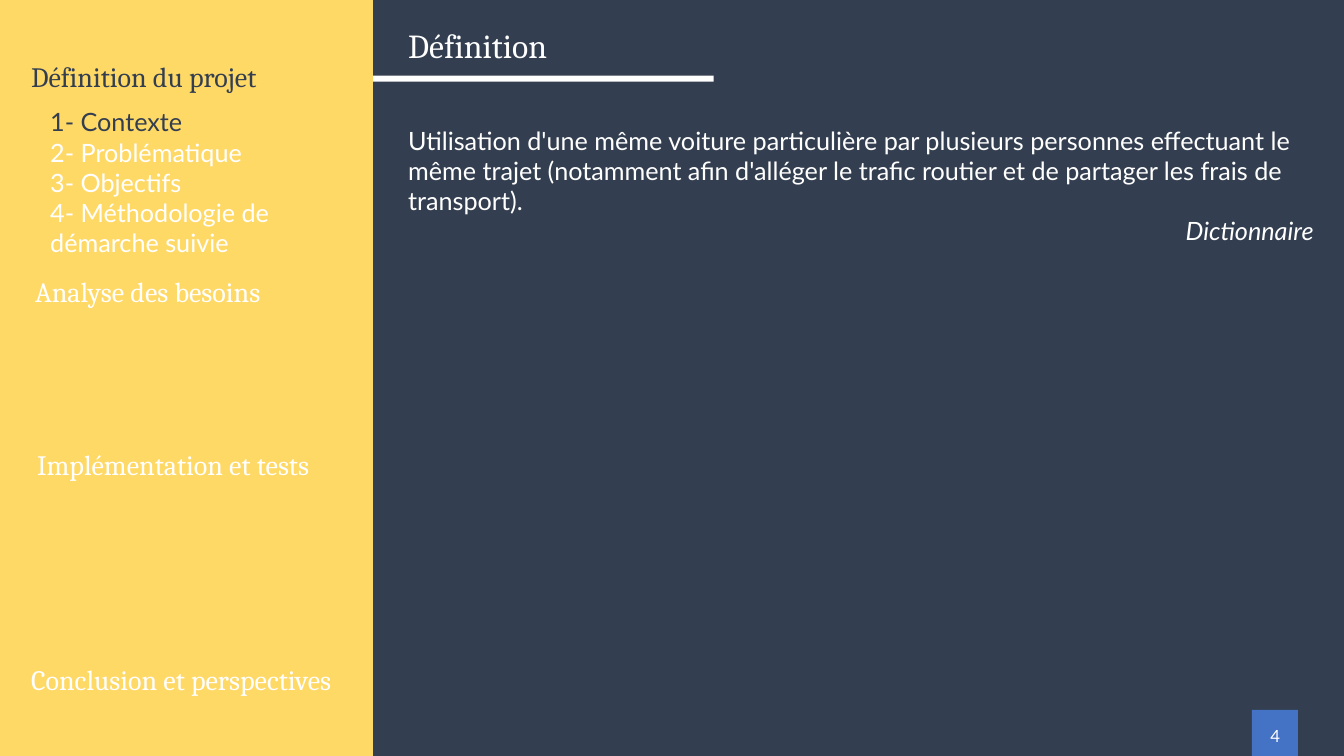
from dataclasses import dataclass

from pptx import Presentation
from pptx.dml.color import RGBColor
from pptx.enum.shapes import MSO_SHAPE
from pptx.enum.text import MSO_ANCHOR, MSO_AUTO_SIZE, PP_ALIGN
from pptx.util import Pt


@dataclass(frozen=True)
class Theme:
    navy: RGBColor = RGBColor(0x33, 0x3F, 0x50)
    yellow: RGBColor = RGBColor(0xFF, 0xD9, 0x66)
    blue: RGBColor = RGBColor(0x44, 0x72, 0xC4)
    white: RGBColor = RGBColor(0xFF, 0xFF, 0xFF)
    heading_font: str = "Cambria"
    body_font: str = "Lato"
    title_size: int = 24
    section_size: int = 20
    body_size: int = 18
    number_size: int = 12


theme = Theme()


def add_block(left, top, width, height, color):
    block = slide.shapes.add_shape(
        MSO_SHAPE.RECTANGLE, Pt(left), Pt(top), Pt(width), Pt(height))
    block.shadow.inherit = False
    block.fill.solid()
    block.fill.fore_color.rgb = color
    block.line.fill.background()


def write_text(shape, box, lines, font_name, size, color):
    """Place a text shape and write one paragraph per line."""
    shape.left, shape.top, shape.width, shape.height = map(Pt, box)
    frame = shape.text_frame
    frame.text = "\n".join(lines)
    frame.word_wrap = True
    frame.auto_size = MSO_AUTO_SIZE.SHAPE_TO_FIT_TEXT
    frame.vertical_anchor = MSO_ANCHOR.TOP
    for paragraph in frame.paragraphs:
        paragraph.alignment = PP_ALIGN.LEFT
        font = paragraph.runs[0].font
        font.name = font_name
        font.size = Pt(size)
        font.color.rgb = color
    return frame.paragraphs


presentation = Presentation()
presentation.slide_width = Pt(960)
presentation.slide_height = Pt(540)
slide = presentation.slides.add_slide(presentation.slide_layouts[5])
slide.background.fill.solid()
slide.background.fill.fore_color.rgb = theme.navy

# Title and its underline
write_text(slide.shapes.title, (284.4, 14.4, 266.4, 36), ["Définition"],
           theme.heading_font, theme.title_size, theme.white)
add_block(266.4, 54, 243.4, 4.3, theme.white)

# Side panel with the outline; the current entries are navy
add_block(0, 0, 266.4, 540, theme.yellow)
sections = [
    ("Définition du projet", 15.1, 38.9, 213, theme.navy),
    ("Analyse des besoins", 18, 192.2, 213, theme.white),
    ("Implémentation et tests", 19.4, 316.1, 213, theme.white),
    ("Conclusion et perspectives", 15.1, 469.4, 248.4, theme.white),
]
for name, left, top, width, color in sections:
    write_text(slide.shapes.add_textbox(0, 0, 0, 0), (left, top, width, 31.5),
               [name], theme.heading_font, theme.section_size, color)

topics = ["Contexte", "Problématique", "Objectifs",
          "Méthodologie de démarche suivie"]
topic_paragraphs = write_text(
    slide.shapes.add_textbox(0, 0, 0, 0), (28.8, 72.7, 213, 116.6),
    [f"{number}- {topic}" for number, topic in enumerate(topics, 1)],
    theme.body_font, theme.body_size, theme.white)
topic_paragraphs[0].runs[0].font.color.rgb = theme.navy

# Definition and its source
definition = (
    "Utilisation d'une même voiture particulière par plusieurs personnes "
    "effectuant le même trajet (notamment afin d'alléger le trafic routier "
    "et de partager les frais de transport).")
quote, source = write_text(
    slide.shapes.add_textbox(0, 0, 0, 0), (284.4, 85.7, 661, 94),
    [definition, "Dictionnaire"], theme.body_font, theme.body_size, theme.white)
source.alignment = PP_ALIGN.RIGHT
source.runs[0].font.italic = True

# Page number
add_block(894.2, 507, 33, 33, theme.blue)
number_box = slide.shapes.add_textbox(0, 0, 0, 0)
page_number = write_text(number_box, (897.1, 507, 27.4, 28.8), ["4"],
                         theme.body_font, theme.number_size, theme.white)[0]
page_number.alignment = PP_ALIGN.CENTER
page_number.line_spacing = Pt(21.5)
page_number.space_before = Pt(2.4)
number_frame = number_box.text_frame
number_frame.margin_left = number_frame.margin_right = Pt(8.6)
number_frame.margin_top = number_frame.margin_bottom = Pt(4.3)

presentation.save("out.pptx")
